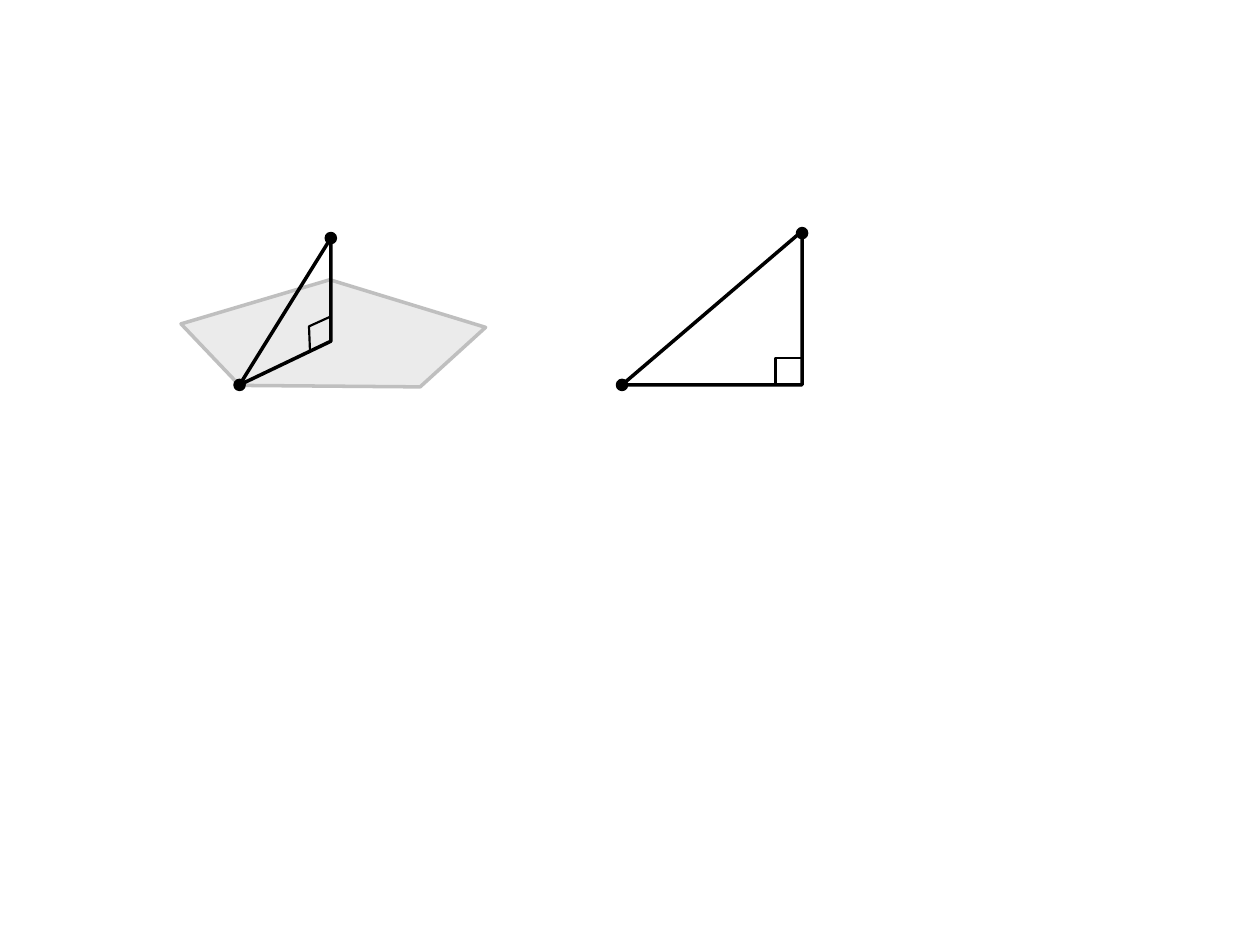
from pptx import Presentation
from pptx import util as u
from pptx.dml import color
from pptx.enum import shapes
from pptx.oxml import ns
from lxml import etree

COLORS = {"ink": "000000", "plane": "D9D9D9", "edge": "BFBFBF"}
DOT = 0.2

prs = Presentation()
prs.slide_width, prs.slide_height = u.Cm(25.4), u.Cm(19.05)
slide = prs.slides.add_slide(prs.slide_layouts[6])


def style(part, weight, line="ink", fill=None):
    part.shadow.inherit = False
    part.line.color.rgb = color.RGBColor.from_string(COLORS[line])
    part.line.width = u.Pt(weight)
    if fill:
        part.fill.solid()
        part.fill.fore_color.rgb = color.RGBColor.from_string(COLORS[fill])
    else:
        part.fill.background()
    return part


def add_preset(parent, kind, left, top, width, height):
    return parent.shapes.add_shape(kind, u.Cm(left), u.Cm(top), u.Cm(width), u.Cm(height))


# Plane, right-angle mark and triangle in space
foot, apex, corner = (6.67, 6.88), (6.67, 4.8), (4.83, 7.76)
outlines = [
    ([(9.79, 6.6), (6.65, 5.64), (3.65, 6.53), (4.83, 7.77), (8.47, 7.8)], 2, "edge", "plane"),
    ([(6.23, 6.58), (6.67, 6.38), foot, (6.25, 7.08)], 1.25, "ink", None),
    ([foot, apex, corner], 2, "ink", None),
]
drawn = []
for points, weight, line, fill in outlines:
    corners = [(u.Cm(x), u.Cm(y)) for x, y in points]
    builder = slide.shapes.build_freeform(*corners[0])
    builder.add_line_segments(corners[1:], close=True)
    drawn.append(style(builder.convert_to_shape(), weight, line, fill))

# Half-transparent plane
plane_color = drawn[0].fill._xPr.find(ns.qn("a:solidFill"))[0]
etree.SubElement(plane_color, ns.qn("a:alpha"), val="51000")

# Flat right triangle with its right-angle mark
flat = slide.shapes.add_group_shape()
left, right, top, base = 12.54, 16.17, 4.66, 7.76
mark = 0.54
triangle = add_preset(flat, shapes.MSO_SHAPE.RIGHT_TRIANGLE, left, top, right - left, base - top)
triangle._element.spPr.find(ns.qn("a:xfrm")).set("flipH", "1")
style(triangle, 2)
style(add_preset(flat, shapes.MSO_SHAPE.RECTANGLE, right - mark, base - mark, mark, mark), 1.5)

# Vertex dots
for parent, (x, y) in [(slide, apex), (slide, corner), (flat, (right, 4.7)), (flat, (left, base))]:
    dot = add_preset(parent, shapes.MSO_SHAPE.OVAL, x - DOT / 2, y - DOT / 2, DOT, DOT)
    style(dot, 1.5, fill="ink")

prs.save("out.pptx")
